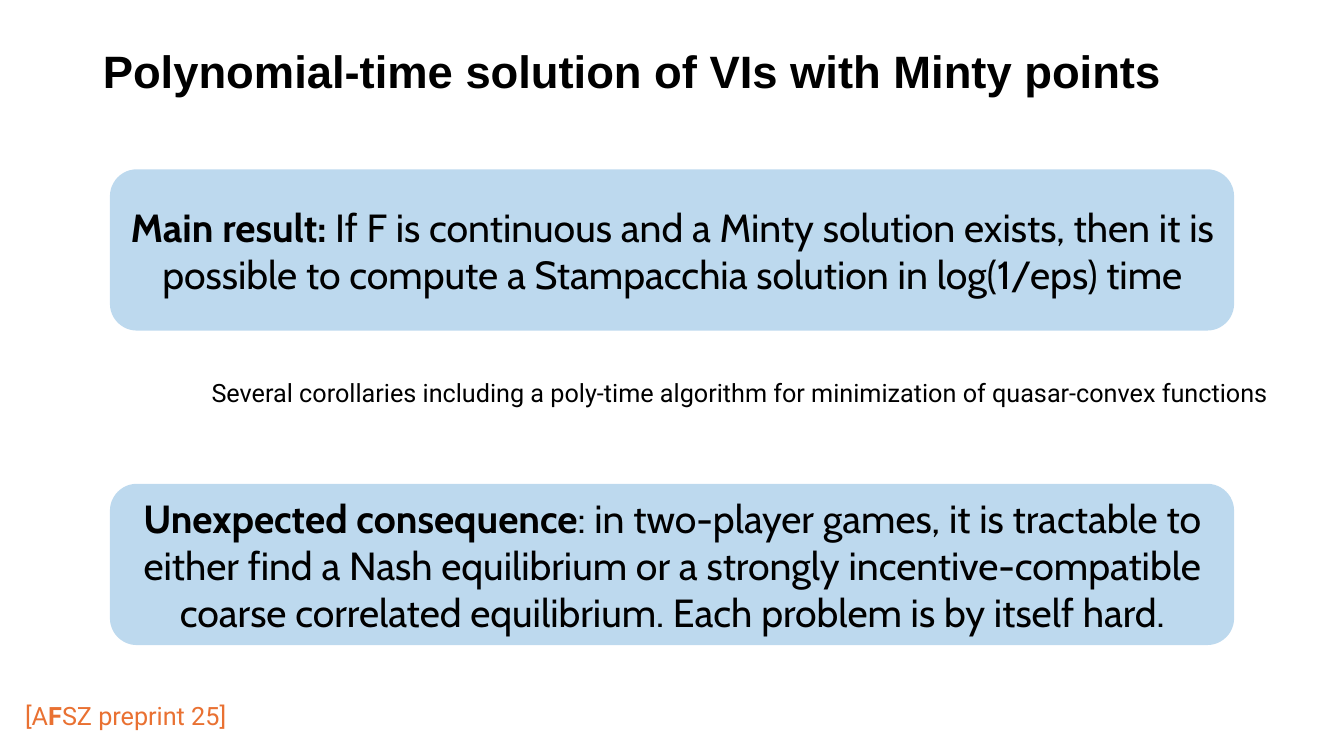
from lxml.etree import SubElement
from pptx import Presentation
from pptx.dml.color import RGBColor
from pptx.enum.shapes import MSO_SHAPE
from pptx.enum.text import MSO_ANCHOR, MSO_AUTO_SIZE, PP_ALIGN
from pptx.oxml.ns import qn
from pptx.util import Inches, Pt

COLORS = {"ink": "000000", "panel": "0070C0", "cite": "E97132"}


def add_runs(para, runs, font, size, color="ink"):
    """Add (text, bold) pairs to a paragraph."""
    for text, bold in runs:
        run = para.add_run()
        run.text = text
        run.font.name = font
        run.font.size = Pt(size)
        run.font.bold = bold
        run.font.color.rgb = RGBColor.from_string(COLORS[color])


def set_title(slide, text):
    title = slide.shapes.title
    title.left, title.top = Inches(0.92), Inches(0.4)
    title.width, title.height = Inches(11.5), Inches(0.67)
    frame = title.text_frame
    frame.auto_size = MSO_AUTO_SIZE.NONE
    frame.word_wrap = True
    frame.vertical_anchor = MSO_ANCHOR.MIDDLE
    para = frame.paragraphs[0]
    para.alignment = PP_ALIGN.LEFT
    para.line_spacing = 0.9
    add_runs(para, [(text, True)], "Arial", 32.4)


def add_panel(slide, top, runs):
    """Add a rounded, see-through panel with centred text."""
    panel = slide.shapes.add_shape(
        MSO_SHAPE.ROUNDED_RECTANGLE,
        Inches(1.09), Inches(top), Inches(11.15), Inches(1.6))
    panel.shadow.inherit = False
    panel.line.fill.background()
    panel.fill.solid()
    panel.fill.fore_color.rgb = RGBColor.from_string(COLORS["panel"])
    tint = panel.fill._xPr.find(qn("a:solidFill"))[0]
    SubElement(tint, qn("a:alpha")).set("val", "26000")
    frame = panel.text_frame
    frame.word_wrap = True
    frame.vertical_anchor = MSO_ANCHOR.MIDDLE
    para = frame.paragraphs[0]
    para.alignment = PP_ALIGN.CENTER
    add_runs(para, runs, "Cabin", 28)


def add_note(slide, left, top, width, runs, color="ink"):
    box = slide.shapes.add_textbox(
        Inches(left), Inches(top), Inches(width), Inches(0.4))
    frame = box.text_frame
    frame.word_wrap = True
    frame.auto_size = MSO_AUTO_SIZE.SHAPE_TO_FIT_TEXT
    add_runs(frame.paragraphs[0], runs, "Roboto", 18, color)


def main():
    deck = Presentation()
    deck.slide_width, deck.slide_height = Inches(13.33), Inches(7.5)
    slide = deck.slides.add_slide(deck.slide_layouts[5])

    set_title(slide, "Polynomial-time solution of VIs with Minty points")

    # Main result and its corollaries
    add_panel(slide, 1.68, [
        ("Main result: ", True),
        ("If F is continuous and a Minty solution exists, then it is possible "
         "to compute a Stampacchia solution in log(1/eps) time", False)])
    add_note(slide, 2, 3.69, 11.03, [
        ("Several corollaries including a poly-time algorithm for "
         "minimization of quasar-convex functions", False)])

    # Consequence for games
    add_panel(slide, 4.8, [
        ("Unexpected consequence", True),
        (": in two-player games, it is tractable to either find a Nash "
         "equilibrium or a strongly incentive-compatible coarse correlated "
         "equilibrium. Each problem is by itself hard.", False)])

    # Citation
    add_note(slide, 0.15, 6.9, 2.31, [
        ("[A", False), ("F", True), ("SZ preprint 25]", False)], "cite")

    deck.save("out.pptx")


if __name__ == "__main__":
    main()
